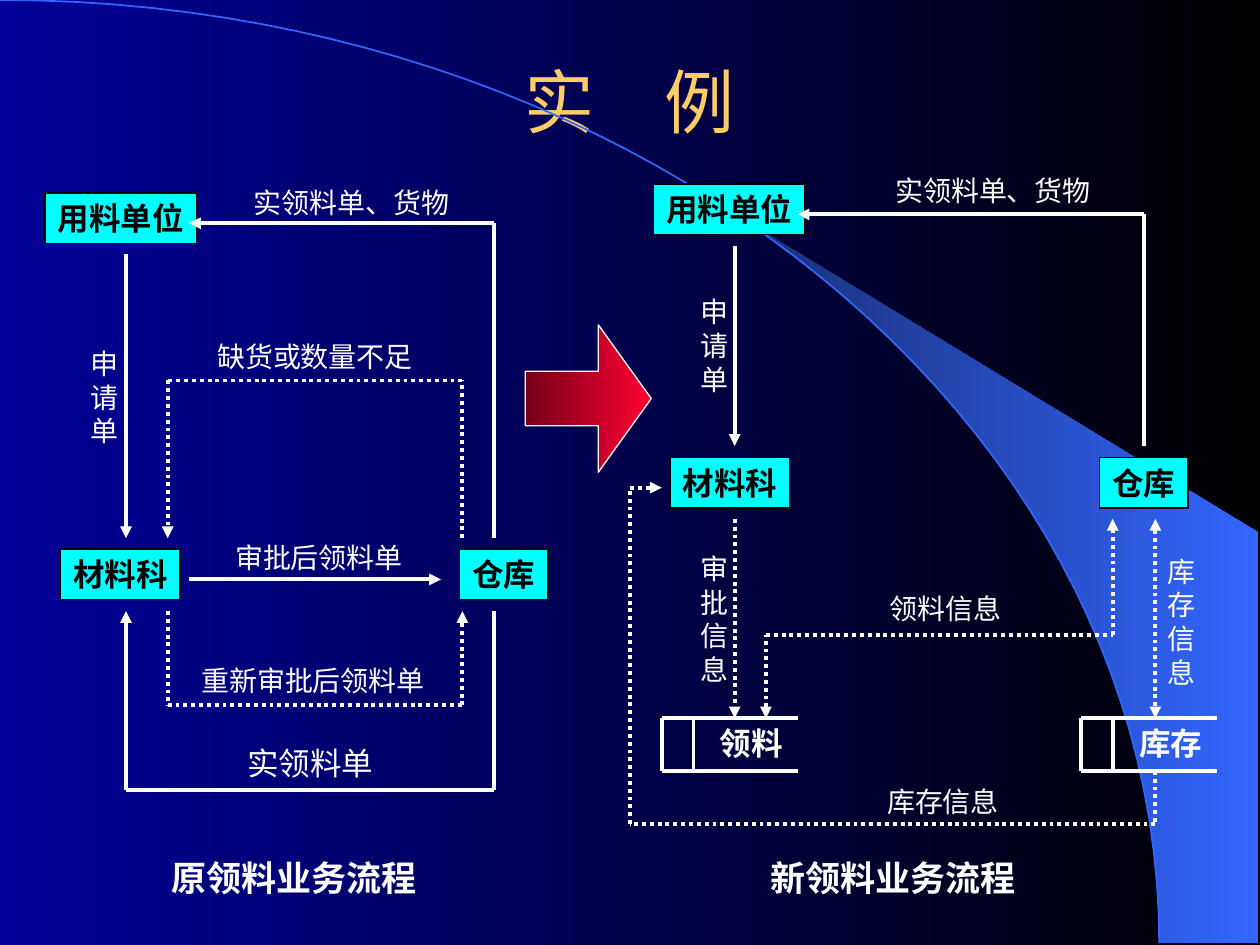
import pptx
import pptx.dml.color
import pptx.enum.dml
import pptx.enum.lang
import pptx.enum.shapes
import pptx.enum.text
import pptx.oxml
import pptx.oxml.ns
import pptx.util

Cm = pptx.util.Cm
Pt = pptx.util.Pt
RGBColor = pptx.dml.color.RGBColor
Shape = pptx.enum.shapes.MSO_SHAPE
Align = pptx.enum.text.PP_ALIGN
AutoSize = pptx.enum.text.MSO_AUTO_SIZE

NAVY = RGBColor(0x00, 0x00, 0x99)
BLACK = RGBColor(0x00, 0x00, 0x00)
WHITE = RGBColor(0xFF, 0xFF, 0xFF)
CYAN = RGBColor(0x00, 0xFF, 0xFF)
GOLD = RGBColor(0xFF, 0xCC, 0x66)
BLUE = RGBColor(0x33, 0x66, 0xFF)
DEEP_BLUE = RGBColor(0x18, 0x2F, 0x76)
RED = RGBColor(0xFF, 0x00, 0x33)
DARK_RED = RGBColor(0x76, 0x00, 0x18)

# Left, top, width, height in cm
UNITS = [
    ("用料单位", 0.91, 3.89, 3.05), ("材料科", 1.22, 11.07, 2.41), ("仓库", 9.27, 11.07, 1.78),
    ("用料单位", 13.18, 3.71, 3.05), ("材料科", 13.51, 9.22, 2.41), ("仓库", 22.17, 9.22, 1.78),
]
FLOW_LABELS = [
    ("审批后领料单", 3.89, 10.77, 5.08, 0.94),
    ("实领料单、货物", 4.45, 3.61, 5.28, 0.94),
    ("缺货或数量不足", 3.81, 6.73, 5.08, 0.94),
    ("申请单", 1.47, 6.86, 1.27, 2.29),
    ("申请单", 13.77, 5.82, 1.27, 2.29),
    ("实领料单、货物", 17.58, 3.38, 4.88, 0.94),
    ("库存信息", 17.42, 15.7, 3.18, 0.94),
    ("审批信息", 13.77, 11, 1.27, 2.97),
    ("库存信息", 23.19, 11.05, 1.27, 2.97),
    ("领料信息", 17.15, 11.81, 3.81, 0.94),
]
GOODS_FLOWS = [
    [(9.96, 12.32), (9.96, 15.93), (2.54, 15.93), (2.54, 12.32)],
    [(3.81, 11.68), (8.89, 11.68)],
    [(9.96, 10.85), (9.96, 4.5), (3.81, 4.5)],
    [(2.54, 5.13), (2.54, 10.85)],
    [(14.81, 4.95), (14.81, 8.99)],
    [(23.06, 8.99), (23.06, 4.32), (16.08, 4.32)],
]
INFO_FLOWS = [
    [(3.38, 12.32), (3.38, 14.22), (9.32, 14.22), (9.32, 12.32)],
    [(9.32, 10.85), (9.32, 7.67), (3.38, 7.67), (3.38, 10.85)],
    [(23.29, 15.54), (23.29, 16.61), (12.7, 16.61), (12.7, 9.83), (13.34, 9.83)],
    [(14.81, 10.46), (14.81, 14.48)],
]
TWO_WAY_FLOWS = [
    [(23.29, 10.46), (23.29, 14.48)],
    [(15.44, 14.48), (15.44, 12.8), (22.43, 12.8), (22.43, 10.46)],
]


def fill_gradient(fill, start, end):
    fill.gradient()
    fill.gradient_angle = 0
    for stop, color in zip(fill.gradient_stops, (start, end)):
        stop.color.rgb = color


def write(frame, text, size, color, bold=False, align=Align.CENTER, font="Times New Roman"):
    paragraph = frame.paragraphs[0]
    paragraph.alignment = align
    run = paragraph.add_run()
    run.text = text
    run.font.name = font
    run.font.size = Pt(size)
    run.font.bold = bold
    run.font.color.rgb = color
    run.font.language_id = pptx.enum.lang.MSO_LANGUAGE_ID.SIMPLIFIED_CHINESE


def add_label(slide, text, left, top, width, height, size=16, bold=False, align=Align.CENTER):
    frame = slide.shapes.add_textbox(Cm(left), Cm(top), Cm(width), Cm(height)).text_frame
    frame.word_wrap = True
    frame.auto_size = AutoSize.SHAPE_TO_FIT_TEXT
    write(frame, text, size, WHITE, bold, align)


def add_unit(slide, text, left, top, width):
    unit = slide.shapes.add_shape(Shape.RECTANGLE, Cm(left), Cm(top), Cm(width), Cm(1.02))
    unit.shadow.inherit = False
    unit.fill.solid()
    unit.fill.fore_color.rgb = CYAN
    unit.line.color.rgb = BLACK
    unit.line.width = Pt(0.75)
    frame = unit.text_frame
    frame.word_wrap = False
    frame.auto_size = AutoSize.SHAPE_TO_FIT_TEXT
    frame.vertical_anchor = pptx.enum.text.MSO_ANCHOR.MIDDLE
    write(frame, text, 18, BLACK, bold=True)


def add_segment(slide, start, end, dotted=False, arrows=()):
    segment = slide.shapes.add_connector(
        pptx.enum.shapes.MSO_CONNECTOR.STRAIGHT, *(Cm(v) for v in start + end))
    segment.line.color.rgb = WHITE
    segment.line.width = Pt(2.25)
    if dotted:
        segment.line.dash_style = pptx.enum.dml.MSO_LINE.ROUND_DOT
    properties = segment._element.spPr
    outline = properties.find(pptx.oxml.ns.qn("a:ln"))
    for arrow in arrows:
        outline.append(pptx.oxml.parse_xml(
            f'<a:{arrow} {pptx.oxml.ns.nsdecls("a")} type="triangle"/>'))
    properties.append(pptx.oxml.parse_xml(f'<a:effectLst {pptx.oxml.ns.nsdecls("a")}/>'))


def add_flow(slide, points, dotted=False, two_way=False):
    last = len(points) - 2
    for i, (start, end) in enumerate(zip(points, points[1:])):
        arrows = []
        if two_way and i == 0:
            arrows.append("headEnd")
        if i == last:
            arrows.append("tailEnd")
        add_segment(slide, start, end, dotted, arrows)


def add_store(slide, text, left):
    top, bottom = 14.48, 15.54
    for y in (top, bottom):
        add_segment(slide, (left, y), (left + 2.75, y))
    for x in (left, left + 0.64):
        add_segment(slide, (x, top), (x, bottom))
    add_label(slide, text, left + 0.64, top, 2.34, 1.02, 18, bold=True)


def add_outline(slide, points, close):
    points = [(Cm(x), Cm(y)) for x, y in points]
    builder = slide.shapes.build_freeform(*points[0])
    builder.add_line_segments(points[1:], close=close)
    outline = builder.convert_to_shape()
    outline.shadow.inherit = False
    return outline


def add_backdrop(slide):
    fill_gradient(slide.background.fill, NAVY, BLACK)
    # Cubic curve from the top left corner to the bottom right
    curve = []
    for step in range(51):
        t = step / 50
        a, b, c = 3 * t * (1 - t) ** 2, 3 * t * t * (1 - t), t ** 3
        curve.append((12.9 * a + 23.37 * (b + c), 8.51 * b + 19.02 * c))
    beam = add_outline(slide, curve[22:] + [(25.37, 19.02), (25.37, 10.74)], True)
    fill_gradient(beam.fill, DEEP_BLUE, BLUE)
    beam.line.fill.background()
    arc = add_outline(slide, curve, False)
    arc.fill.background()
    arc.line.color.rgb = BLUE
    arc.line.width = Pt(1)


def add_title(slide):
    title = slide.shapes.title
    title.left, title.top, title.width, title.height = Cm(1.9), Cm(0.43), Cm(21.59), Cm(3.18)
    title.text_frame.auto_size = AutoSize.NONE
    title.text_frame.vertical_anchor = pptx.enum.text.MSO_ANCHOR.MIDDLE
    write(title.text_frame, "实　例", 40, GOLD, font="Arial")


def add_change_arrow(slide):
    change = slide.shapes.add_shape(Shape.RIGHT_ARROW, Cm(10.59), Cm(6.55), Cm(2.54), Cm(2.97))
    change.adjustments[0], change.adjustments[1] = 0.37, 0.42
    change.shadow.inherit = False
    fill_gradient(change.fill, DARK_RED, RED)
    change.line.color.rgb = WHITE
    change.line.width = Pt(0.75)


def main():
    deck = pptx.Presentation()
    deck.slide_width, deck.slide_height = Cm(25.4), Cm(19.05)
    slide = deck.slides.add_slide(deck.slide_layouts[5])
    add_backdrop(slide)
    add_title(slide)

    # Departments, and the flows between them
    for unit in UNITS:
        add_unit(slide, *unit)
    for points in GOODS_FLOWS:
        add_flow(slide, points)
    for points in INFO_FLOWS:
        add_flow(slide, points, dotted=True)
    for points in TWO_WAY_FLOWS:
        add_flow(slide, points, dotted=True, two_way=True)

    # Data stores of the new process
    add_store(slide, "领料", 13.34)
    add_store(slide, "库存", 21.79)

    # Flow names and process captions
    for label in FLOW_LABELS:
        add_label(slide, *label)
    add_label(slide, "实领料单", 4.45, 14.88, 3.61, 1.02, 18)
    add_label(slide, "重新审批后领料单", 3.81, 13.26, 5.08, 0.94, align=Align.LEFT)
    for caption, left in (("原领料业务流程", 1.27), ("新领料业务流程", 13.34)):
        add_label(slide, caption, left, 17.15, 9.32, 1.12, 20, bold=True)

    add_change_arrow(slide)
    deck.save("out.pptx")


if __name__ == "__main__":
    main()
